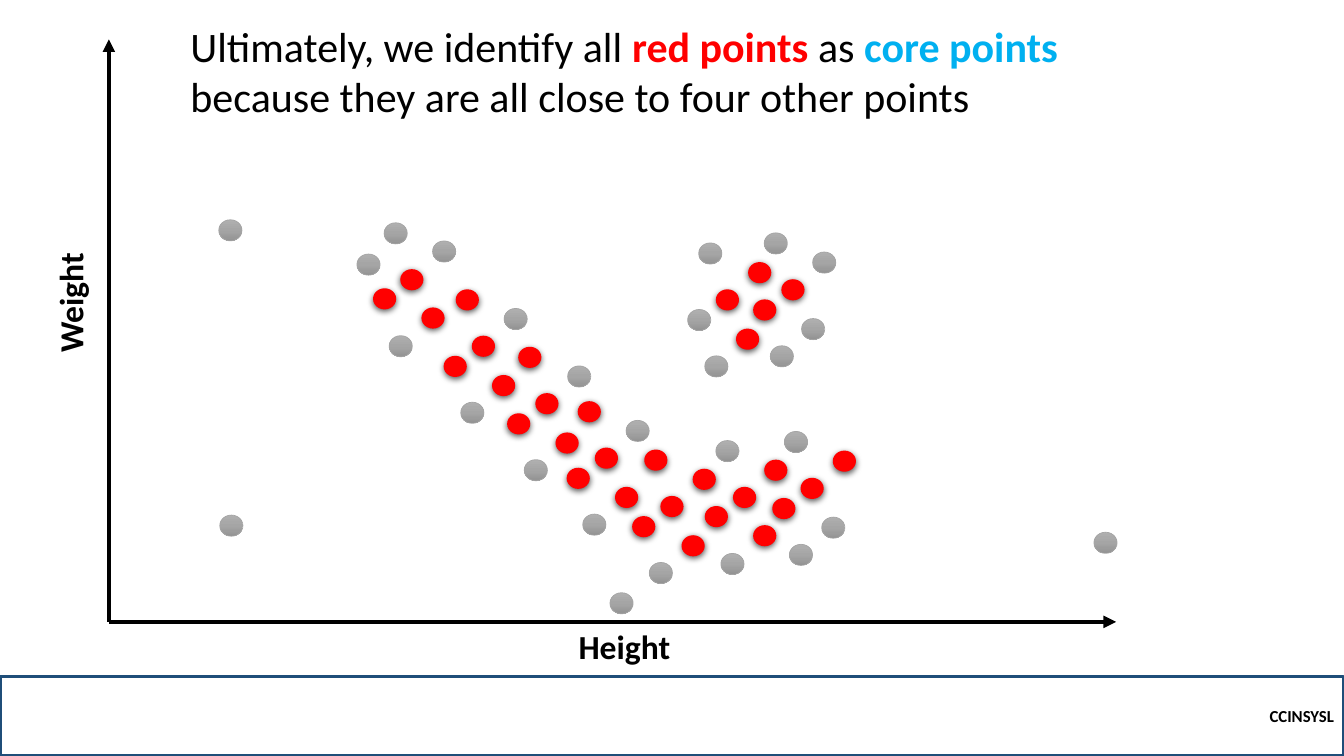
from copy import deepcopy
from dataclasses import dataclass

from pptx import Presentation
from pptx.dml.color import RGBColor
from pptx.enum.shapes import MSO_CONNECTOR, MSO_SHAPE
from pptx.enum.text import MSO_ANCHOR, MSO_AUTO_SIZE, PP_ALIGN
from pptx.oxml import parse_xml
from pptx.oxml.ns import nsdecls, qn
from pptx.shapes.autoshape import Shape
from pptx.slide import Slide
from pptx.text.text import TextFrame
from pptx.util import Inches, Pt


@dataclass(frozen=True)
class Theme:
    """Colours, font and type sizes of the slide."""

    font: str = "Calibri"
    ink: str = "000000"
    core: str = "FF0000"
    highlight: str = "00B0F0"
    footer_line: str = "1F4E79"
    gray: str = "A5A5A5"
    gray_stops: tuple[str, ...] = ("AFAFAF", "A5A5A5", "939393")
    headline_size: float = 30
    axis_size: float = 24
    footer_size: float = 12


@dataclass(frozen=True)
class TextRun:
    """A stretch of text in one style."""

    text: str
    color: str
    bold: bool = False


@dataclass(frozen=True)
class TextLabel:
    """A text box with its place, runs and rotation."""

    left: float
    top: float
    width: float
    height: float
    size: float
    runs: tuple[TextRun, ...]
    rotation: float = 0


@dataclass(frozen=True)
class Point:
    """The left and top of one data point."""

    left: float
    top: float


THEME = Theme()
SLIDE_WIDTH, SLIDE_HEIGHT = 13.33, 7.5
FOOTER_TOP = 6.71
POINT_WIDTH, POINT_HEIGHT = 0.23, 0.21
ORIGIN = (1.08, 6.17)
AXIS_ENDS = ((11.07, 6.17), (1.08, 0.39))

CORE_POINTS = [Point(*place) for place in (
    (3.97, 2.67), (3.7, 2.86), (4.18, 3.05), (4.52, 2.87), (4.68, 3.33),
    (4.4, 3.53), (4.88, 3.72), (5.14, 3.44), (5.31, 3.9), (5.03, 4.1),
    (5.51, 4.29), (5.73, 3.98), (5.9, 4.44), (5.62, 4.64), (6.1, 4.83),
    (6.39, 4.46), (6.55, 4.92), (6.87, 4.65), (6.27, 5.12), (6.76, 5.31),
    (7.27, 4.83), (7.58, 4.56), (6.99, 5.02), (7.47, 5.21), (7.94, 4.74),
    (8.26, 4.47), (7.66, 4.94), (7.1, 2.87), (7.42, 2.6), (7.3, 3.26),
    (7.75, 2.77), (7.47, 2.97),
)]
OTHER_POINTS = [Point(*place) for place in (
    (3.81, 2.21), (4.29, 2.39), (3.86, 3.33), (5, 3.06), (4.57, 3.99),
    (5.63, 3.63), (5.2, 4.56), (6.21, 4.17), (5.78, 5.1), (6.44, 5.58),
    (7.1, 4.37), (7.15, 5.49), (7.78, 4.28), (7.83, 5.4), (8.15, 5.13),
    (6.93, 2.41), (6.82, 3.07), (6.99, 3.53), (7.58, 2.31), (8.06, 2.5),
    (7.64, 3.43), (7.95, 3.16), (2.17, 2.18), (2.18, 5.11), (10.85, 5.28),
    (3.54, 2.52), (6.05, 5.88),
)]
LABELS = (
    TextLabel(5.64, 6.16, 1.17, 0.5, THEME.axis_size,
              (TextRun("Height", THEME.ink, True),)),
    TextLabel(0.1, 2.75, 1.19, 0.5, THEME.axis_size,
              (TextRun("Weight", THEME.ink, True),), 270),
    TextLabel(1.79, 0.15, 9.28, 1.11, THEME.headline_size, (
        TextRun("Ultimately, we identify all ", THEME.ink),
        TextRun("red points ", THEME.core, True),
        TextRun("as ", THEME.ink),
        TextRun("core points ", THEME.highlight, True),
        TextRun("because they are all close to four other points", THEME.ink),
    )),
)


def rgb(color: str) -> RGBColor:
    """Return the colour for a hex string."""
    return RGBColor.from_string(color)


def write_runs(frame: TextFrame, runs: tuple[TextRun, ...], size: float,
               alignment: PP_ALIGN = PP_ALIGN.LEFT) -> None:
    """Write styled runs into the first paragraph."""
    paragraph = frame.paragraphs[0]
    paragraph.alignment = alignment
    for text_run in runs:
        run = paragraph.add_run()
        run.text = text_run.text
        run.font.name = THEME.font
        run.font.size = Pt(size)
        run.font.bold = text_run.bold
        run.font.color.rgb = rgb(text_run.color)


def draw_footer(slide: Slide) -> None:
    """Draw the outlined footer band with the course code."""
    footer = slide.shapes.add_shape(
        MSO_SHAPE.RECTANGLE, 0, Inches(FOOTER_TOP),
        Inches(SLIDE_WIDTH), Inches(SLIDE_HEIGHT - FOOTER_TOP))
    footer.shadow.inherit = False
    footer.fill.background()
    footer.line.color.rgb = rgb(THEME.footer_line)
    footer.line.width = Pt(2.25)
    footer.text_frame.vertical_anchor = MSO_ANCHOR.MIDDLE
    write_runs(footer.text_frame, (TextRun("CCINSYSL", THEME.ink, True),),
               THEME.footer_size, PP_ALIGN.RIGHT)


def draw_axis(slide: Slide, end: tuple[float, float]) -> None:
    """Draw an arrow from the origin to the end of an axis."""
    axis = slide.shapes.add_connector(
        MSO_CONNECTOR.STRAIGHT, *map(Inches, ORIGIN + end))
    axis.line.color.rgb = rgb(THEME.ink)
    axis.line.width = Pt(3)
    axis.line._get_or_add_ln().append(
        parse_xml(f'<a:tailEnd {nsdecls("a")} type="triangle"/>'))
    axis._element.spPr.append(parse_xml(f'<a:effectLst {nsdecls("a")}/>'))


def draw_point(slide: Slide, point: Point) -> Shape:
    """Draw an unstyled data point."""
    dot = slide.shapes.add_shape(
        MSO_SHAPE.OVAL, Inches(point.left), Inches(point.top),
        Inches(POINT_WIDTH), Inches(POINT_HEIGHT))
    dot.shadow.inherit = False
    return dot


def style_core(dot: Shape) -> None:
    """Give a point the red fill and soft shadow of a core point."""
    dot.fill.solid()
    dot.fill.fore_color.rgb = rgb(THEME.core)
    dot.line.fill.background()
    dot._element.spPr.find(qn("a:effectLst")).append(parse_xml(
        f'<a:outerShdw {nsdecls("a")} blurRad="{Pt(4.5)}" dist="{Pt(1.5)}" '
        f'dir="5400000" algn="ctr" rotWithShape="0"><a:srgbClr val="{THEME.ink}">'
        '<a:alpha val="63000"/></a:srgbClr></a:outerShdw>'))


def style_other(dot: Shape) -> None:
    """Give a point the gray gradient of a point outside the core."""
    dot.fill.gradient()
    dot.fill.gradient_angle = 270
    stop_list = dot._element.spPr.find(qn("a:gradFill")).find(qn("a:gsLst"))
    stop_list.append(deepcopy(stop_list[0]))
    for index, stop in enumerate(dot.fill.gradient_stops):
        stop.position = index / 2
        stop.color.rgb = rgb(THEME.gray_stops[index])
    dot.line.color.rgb = rgb(THEME.gray)
    dot.line.width = Pt(0.5)


def draw_label(slide: Slide, label: TextLabel) -> None:
    """Draw a text box that grows with its text."""
    box = slide.shapes.add_textbox(*map(
        Inches, (label.left, label.top, label.width, label.height)))
    box.rotation = label.rotation
    box.text_frame.word_wrap = True
    box.text_frame.auto_size = MSO_AUTO_SIZE.SHAPE_TO_FIT_TEXT
    write_runs(box.text_frame, label.runs, label.size)


def main() -> None:
    """Build and save the core points slide."""
    presentation = Presentation()
    presentation.slide_width = Inches(SLIDE_WIDTH)
    presentation.slide_height = Inches(SLIDE_HEIGHT)
    slide = presentation.slides.add_slide(presentation.slide_layouts[6])
    draw_footer(slide)
    for end in AXIS_ENDS:
        draw_axis(slide, end)
    for points, style in ((CORE_POINTS, style_core), (OTHER_POINTS, style_other)):
        for point in points:
            style(draw_point(slide, point))
    for label in LABELS:
        draw_label(slide, label)
    presentation.save("out.pptx")


if __name__ == "__main__":
    main()
